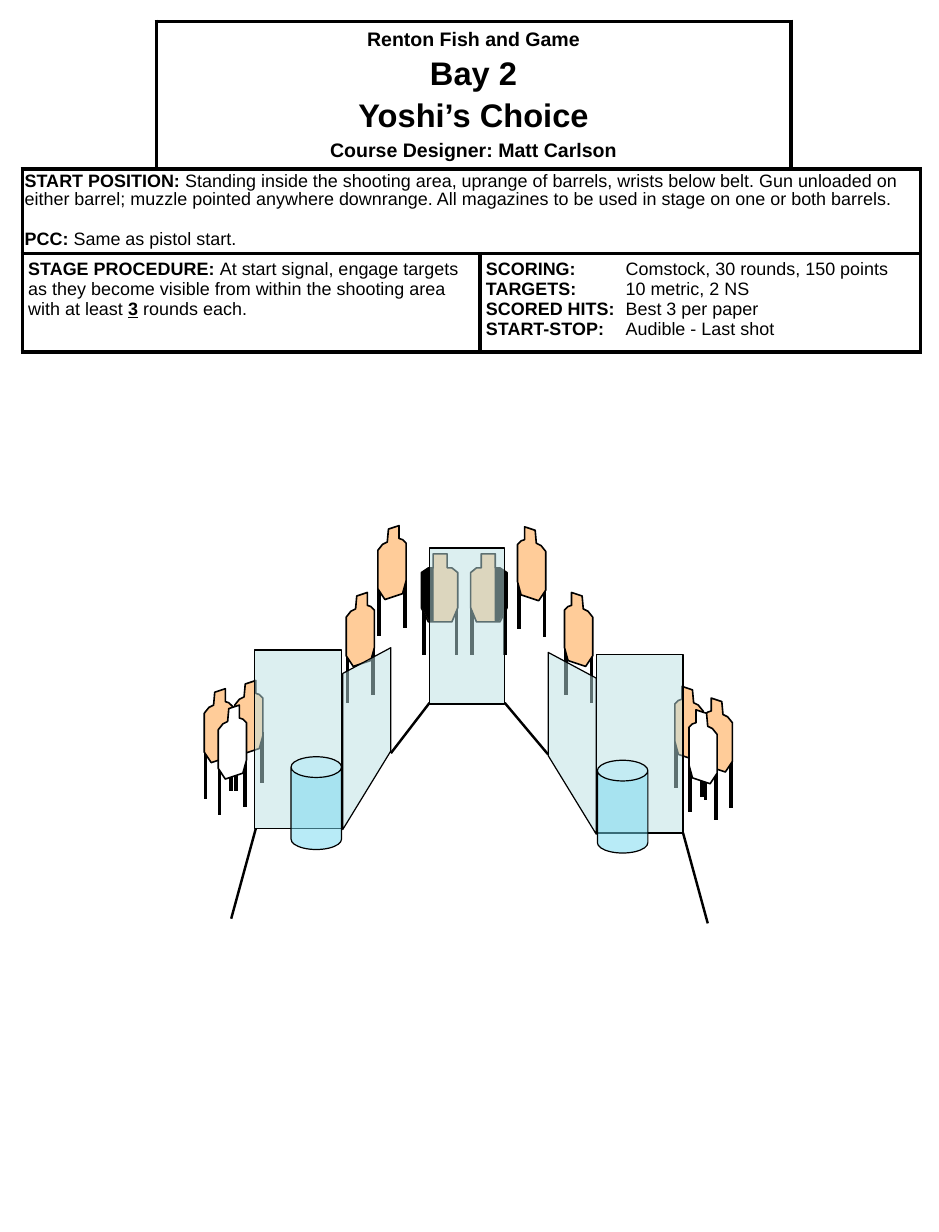
from dataclasses import dataclass
from lxml import etree
from pptx import Presentation
from pptx.dml.color import RGBColor
from pptx.enum.shapes import MSO_CONNECTOR, MSO_SHAPE
from pptx.enum.text import MSO_ANCHOR, PP_ALIGN
from pptx.oxml.ns import qn
from pptx.util import Inches, Pt

STRAIGHT = MSO_CONNECTOR.STRAIGHT
RECTANGLE = MSO_SHAPE.RECTANGLE
CAN = MSO_SHAPE.CAN
CENTER = PP_ALIGN.CENTER
MIDDLE = MSO_ANCHOR.MIDDLE


@dataclass(frozen=True)
class Theme:
    """Colours, type sizes and line widths of the stage sheet."""
    ink: str = "000000"
    paper: str = "FFFFFF"
    target: str = "FFCC99"
    wall: str = "BBE0E3"
    barrel: str = "73D9F1"
    font: str = "Arial"
    name_size: int = 20
    club_size: int = 12
    body_size: int = 11
    heavy: float = 2.25
    fault: float = 1.5
    outline: float = 1
    thin: float = 0.75


@dataclass(frozen=True)
class Profile:
    """Target silhouette as seen from the left half of the bay."""
    width: float
    outline: tuple
    legs: tuple
    cover: tuple = ()


THEME = Theme()
LEG_LENGTH = 0.43
TURNED = Profile(
    0.24,
    ((0.09, 0.03), (0.18, 0), (0.18, 0.11), (0.21, 0.12), (0.24, 0.15), (0.24, 0.47),
     (0.21, 0.58), (0.06, 0.63), (0, 0.54), (0, 0.21), (0.04, 0.16), (0.08, 0.14)),
    ((0.01, 0.51), (0.23, 0.44)))
FACING = Profile(
    0.31,
    ((0.1, 0), (0.22, 0), (0.22, 0.12), (0.26, 0.12), (0.31, 0.16), (0.31, 0.46),
     (0.26, 0.58), (0.06, 0.58), (0, 0.46), (0, 0.16), (0.06, 0.12), (0.1, 0.12)),
    ((0.02, 0.43), (0.3, 0.43)),
    ((0.1, 0.12), (0.1, 0.57), (0.07, 0.57), (0.01, 0.46), (0.01, 0.16), (0.07, 0.12)))

REAR_TARGETS = (
    (TURNED, 4.41, 4.49, True), (TURNED, 3.22, 4.48, False),
    (FACING, 3.59, 4.72, False), (FACING, 4.01, 4.72, True),
    (TURNED, 2.95, 5.05, False), (TURNED, 4.81, 5.05, True),
    (TURNED, 2, 5.8, False), (TURNED, 5.75, 5.85, True))
FRONT_TARGETS = ((1.74, 5.87, False), (6, 5.95, True))
NO_SHOOTS = ((1.86, 6.01, False), (5.87, 6.05, True))
SIDE_WALLS = (
    ((3.33, 6.4), (2.92, 7.07), (2.92, 5.74), (3.33, 5.52)),
    ((4.67, 6.44), (5.08, 7.11), (5.08, 5.78), (4.67, 5.56)))
FLAT_WALLS = ((2.17, 5.54, 0.74, 1.52), (5.08, 5.58, 0.74, 1.52), (3.66, 4.67, 0.64, 1.33))
BARRELS = ((5.09, 6.48), (2.48, 6.45))
FAULT_LINES = (
    ((3.33, 6.42), (3.66, 5.99)), ((4.67, 6.43), (4.3, 5.99)),
    ((1.97, 7.83), (2.18, 7.06)), ((6.03, 7.87), (5.82, 7.1)))
SCORING = (
    ("SCORING:", "Comstock, 30 rounds, 150 points"), ("TARGETS:", "10 metric, 2 NS"),
    ("SCORED HITS:", "Best 3 per paper"), ("START-STOP:", "Audible - Last shot"))


def paint(shape, fill, line_width, opacity=100):
    """Fill and outline a shape, with optional transparency."""
    shape.shadow.inherit = False
    shape.fill.solid()
    shape.fill.fore_color.rgb = RGBColor.from_string(fill)
    if opacity < 100:
        color = shape._element.spPr.find(qn("a:solidFill")).find(qn("a:srgbClr"))
        etree.SubElement(color, qn("a:alpha"), val=str(opacity * 1000))
    shape.line.color.rgb = RGBColor.from_string(THEME.ink)
    shape.line.width = Pt(line_width)


def add_line(shapes, start, end, width):
    """Draw a straight black line between two points."""
    line = shapes.add_connector(STRAIGHT, *map(Inches, (*start, *end)))
    line.line.color.rgb = RGBColor.from_string(THEME.ink)
    line.line.width = Pt(width)
    etree.SubElement(line._element.spPr, qn("a:effectLst"))


def add_polygon(shapes, points, fill, line_width, opacity=100):
    """Draw a closed polygon through the points."""
    corners = [(Inches(x), Inches(y)) for x, y in points]
    builder = shapes.build_freeform(*corners[0])
    builder.add_line_segments(corners[1:], close=True)
    paint(builder.convert_to_shape(), fill, line_width, opacity)


def add_target(slide, profile, left, top, mirrored, fill=THEME.target):
    """Draw one target on its two legs as a group."""
    def place(points):
        return [(left + (profile.width - x if mirrored else x), top + y) for x, y in points]

    shapes = slide.shapes.add_group_shape().shapes
    for x, y in place(profile.legs):
        add_line(shapes, (x, y), (x, y + LEG_LENGTH), THEME.heavy)
    add_polygon(shapes, place(profile.outline), fill, THEME.outline)
    if profile.cover:
        add_polygon(shapes, place(profile.cover), THEME.ink, 0)


def add_preset(slide, preset, box, fill):
    """Draw a half-transparent preset shape."""
    shape = slide.shapes.add_shape(preset, *map(Inches, box))
    paint(shape, fill, THEME.thin, 50)
    return shape


def style_cell(cell, sides):
    """Give a cell a white fill and borders on the named sides."""
    properties = cell._tc.get_or_add_tcPr()
    for side in "LRTB":
        border = etree.SubElement(properties, qn(f"a:ln{side}"), w=str(Pt(THEME.heavy)))
        if side in sides:
            fill = etree.SubElement(border, qn("a:solidFill"))
            etree.SubElement(fill, qn("a:srgbClr"), val=THEME.ink)
        else:
            etree.SubElement(border, qn("a:noFill"))
    cell.fill.solid()
    cell.fill.fore_color.rgb = RGBColor.from_string(THEME.paper)


def set_margins(cell, horizontal, vertical):
    """Set the cell margins in inches."""
    cell.margin_left = cell.margin_right = Inches(horizontal)
    cell.margin_top = cell.margin_bottom = Inches(vertical)


def write_paragraph(cell, index, runs, size=THEME.body_size, tab=None):
    """Write (text, bold) runs as one paragraph and return it."""
    frame = cell.text_frame
    paragraph = frame.add_paragraph() if index else frame.paragraphs[0]
    if tab:
        tabs = etree.SubElement(paragraph._p.get_or_add_pPr(), qn("a:tabLst"))
        etree.SubElement(tabs, qn("a:tab"), pos=str(Inches(tab)), algn="l")
    paragraph.font.name = THEME.font
    paragraph.font.size = Pt(size)
    paragraph.font.color.rgb = RGBColor.from_string(THEME.ink)
    for text, bold in runs:
        run = paragraph.add_run()
        run.text = text
        run.font.bold = bold
    return paragraph


def add_briefing(slide):
    """Build the table with the heading and the stage briefing."""
    frame = slide.shapes.add_table(3, 4, *map(Inches, (0.19, 0.18, 7.65, 2.82)))
    table = frame.table
    table.first_row = table.horz_banding = False
    for column, width in zip(table.columns, (1.14, 2.76, 2.65, 1.1)):
        column.width = Inches(width)
    for row, height in zip(table.rows, (1.26, 0.72, 0.84)):
        row.height = Inches(height)
    corners = {(0, 0): "RB", (0, 3): "LB"}
    for row in range(3):
        for column in range(4):
            style_cell(table.cell(row, column), corners.get((row, column), "LRTB"))
    heading, start, procedure, scoring = (
        table.cell(*place) for place in ((0, 1), (1, 0), (2, 0), (2, 2)))
    for cell, last in ((heading, (0, 2)), (start, (1, 3)), (procedure, (2, 1)), (scoring, (2, 3))):
        cell.merge(table.cell(*last))
        set_margins(cell, 0.05, 0.05)
    set_margins(start, 0.02, 0.04)

    heading.vertical_anchor = MIDDLE
    titles = (("Renton Fish and Game", THEME.club_size), ("Bay 2", THEME.name_size),
              ("Yoshi’s Choice", THEME.name_size), ("Course Designer: Matt Carlson", THEME.club_size))
    for index, (text, size) in enumerate(titles):
        paragraph = write_paragraph(heading, index, [(text, True)], size)
        paragraph.alignment = CENTER
        paragraph.space_before = Pt(3.5 if index else 0)

    positions = (
        ("START POSITION:", " Standing inside the shooting area, uprange of barrels, wrists below belt. "
         "Gun unloaded on either barrel; muzzle pointed anywhere downrange. "
         "All magazines to be used in stage on one or both barrels."),
        ("PCC: ", "Same as pistol start."))
    for index, (label, text) in enumerate(positions):
        paragraph = write_paragraph(start, index, [(label, True), (text, False)])
        paragraph.line_spacing = 0.9
        paragraph.space_before = Pt(13 if index else 0)

    steps = write_paragraph(procedure, 0, [
        ("STAGE PROCEDURE: ", True),
        ("At start signal, engage targets as they become visible "
         "from within the shooting area with at least ", False),
        ("3", True), (" rounds each.", False)])
    steps.runs[2].font.underline = True

    for index, (label, text) in enumerate(SCORING):
        write_paragraph(scoring, index, [(label, True), ("\t" + text, False)], tab=1.19)


def main():
    """Build the stage sheet and save it."""
    presentation = Presentation()
    presentation.slide_width, presentation.slide_height = Inches(8), Inches(10.5)
    slide = presentation.slides.add_slide(presentation.slide_layouts[6])
    for target in REAR_TARGETS:
        add_target(slide, *target)
    add_briefing(slide)
    for wall in SIDE_WALLS:
        add_polygon(slide.shapes, wall, THEME.wall, THEME.thin, 50)
    for wall in FLAT_WALLS:
        add_preset(slide, RECTANGLE, wall, THEME.wall)
    for target in FRONT_TARGETS:
        add_target(slide, TURNED, *target)
    for target in NO_SHOOTS:
        add_target(slide, TURNED, *target, fill=THEME.paper)
    for left, top in BARRELS:
        add_preset(slide, CAN, (left, top, 0.43, 0.79), THEME.barrel).adjustments[0] = 0.41
    for start, end in FAULT_LINES:
        add_line(slide.shapes, start, end, THEME.fault)
    presentation.save("out.pptx")


if __name__ == "__main__":
    main()
